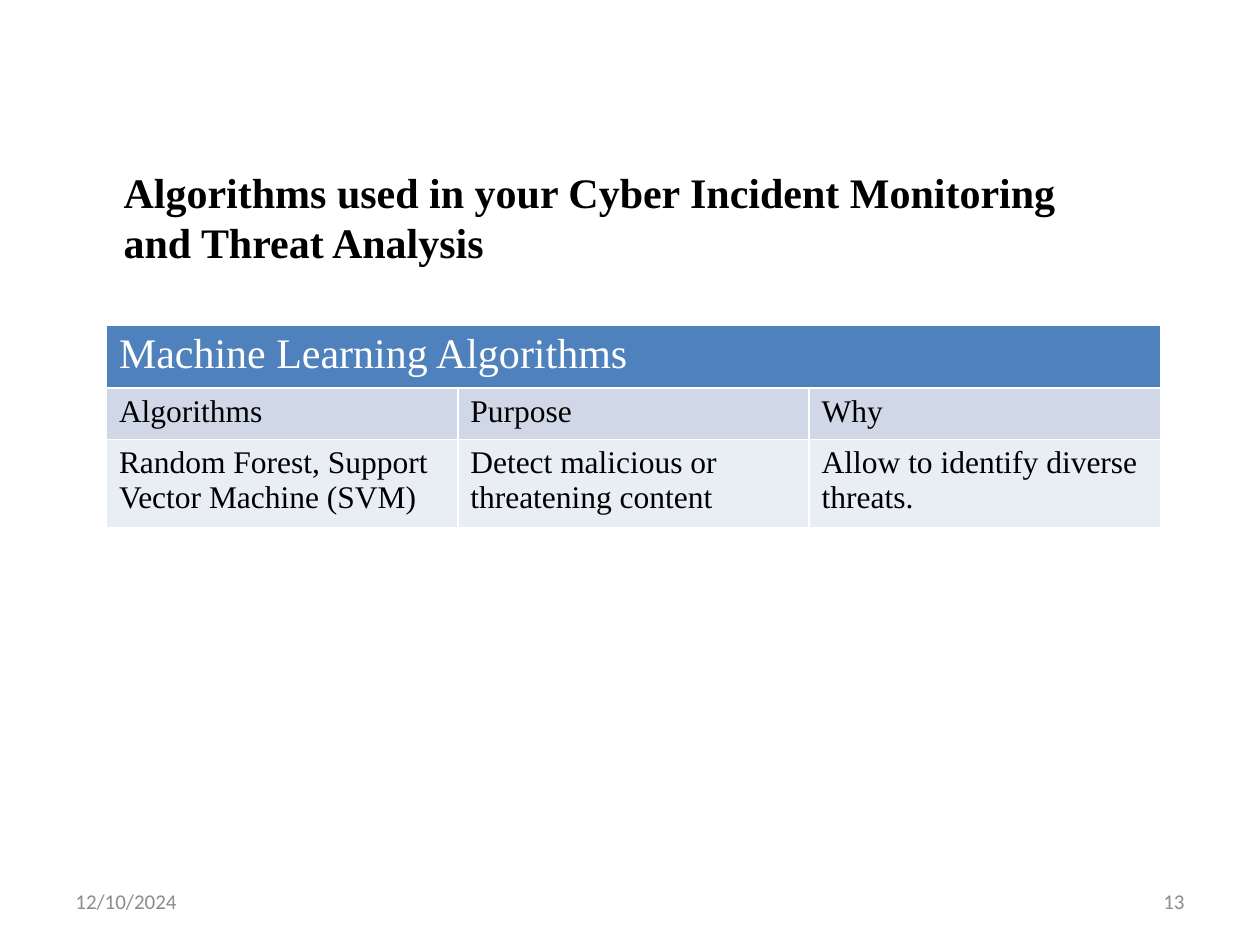
from pptx import Presentation
from pptx.dml.color import RGBColor
from pptx.enum import text as t
from pptx.util import Pt

BLACK = RGBColor(0x00, 0x00, 0x00)
WHITE = RGBColor(0xFF, 0xFF, 0xFF)
GREY = RGBColor(0x8C, 0x8C, 0x8C)
HEADER_BLUE = RGBColor(0x4F, 0x81, 0xBD)
BAND_COLORS = [RGBColor(0xD0, 0xD8, 0xE8), RGBColor(0xE9, 0xED, 0xF4)]
SERIF = "Times New Roman"

HEADING = "Algorithms used in your Cyber Incident Monitoring and Threat Analysis"
TABLE_HEADER = "Machine Learning Algorithms"
ROWS = [
    ["Algorithms", "Purpose", "Why"],
    ["Random Forest, Support Vector Machine (SVM)",
     "Detect malicious or threatening content",
     "Allow to identify diverse threats."],
]
ROW_HEIGHTS = [36, 29.2, 50.8]


def write(frame, words, size=18, font=SERIF, color=BLACK, bold=False,
          align=t.PP_ALIGN.LEFT):
    paragraph = frame.paragraphs[0]
    paragraph.alignment = align
    run = paragraph.add_run()
    run.text = words
    run.font.size = Pt(size)
    run.font.name = font
    run.font.bold = bold
    run.font.color.rgb = color


def add_heading(slide, left, top, width, height):
    heading = slide.shapes.title
    heading.left, heading.top = Pt(left), Pt(top)
    heading.width, heading.height = Pt(width), Pt(height)
    frame = heading.text_frame
    frame.word_wrap = True
    frame.auto_size = t.MSO_AUTO_SIZE.SHAPE_TO_FIT_TEXT
    frame.vertical_anchor = t.MSO_ANCHOR.TOP
    write(frame, HEADING, size=24, bold=True)


def add_algorithm_table(slide, left, top, width):
    columns = len(ROWS[0])
    algorithms = slide.shapes.add_table(
        len(ROW_HEIGHTS), columns, Pt(left), Pt(top), Pt(width),
        Pt(sum(ROW_HEIGHTS))).table
    for row, height in zip(algorithms.rows, ROW_HEIGHTS):
        row.height = Pt(height)

    def fill_cell(cell, words, fill, **style):
        cell.fill.solid()
        cell.fill.fore_color.rgb = fill
        write(cell.text_frame, words, **style)

    header = algorithms.cell(0, 0)
    header.merge(algorithms.cell(0, columns - 1))
    fill_cell(header, TABLE_HEADER, HEADER_BLUE, size=24, color=WHITE)
    for r, (entries, band) in enumerate(zip(ROWS, BAND_COLORS), start=1):
        for c, entry in enumerate(entries):
            fill_cell(algorithms.cell(r, c), entry, band)


def add_footer(slide, left, top, width, height):
    item_width = 168
    items = [("12/10/2024", left, t.PP_ALIGN.LEFT),
             ("13", left + width - item_width, t.PP_ALIGN.RIGHT)]
    for words, x, align in items:
        frame = slide.shapes.add_textbox(
            Pt(x), Pt(top), Pt(item_width), Pt(height)).text_frame
        frame.word_wrap = True
        frame.vertical_anchor = t.MSO_ANCHOR.MIDDLE
        write(frame, words, size=12, font="Calibri", color=GREY, align=align)


def main():
    deck = Presentation()
    deck.slide_width, deck.slide_height = Pt(720), Pt(540)
    slide = deck.slides.add_slide(deck.slide_layouts.get_by_name("Title Only"))
    add_footer(slide, 36, 500.7, 648, 28.8)
    add_heading(slide, 63.4, 91.4, 579.6, 65.5)
    add_algorithm_table(slide, 60.8, 185.8, 602.4)
    deck.save("out.pptx")


if __name__ == "__main__":
    main()
